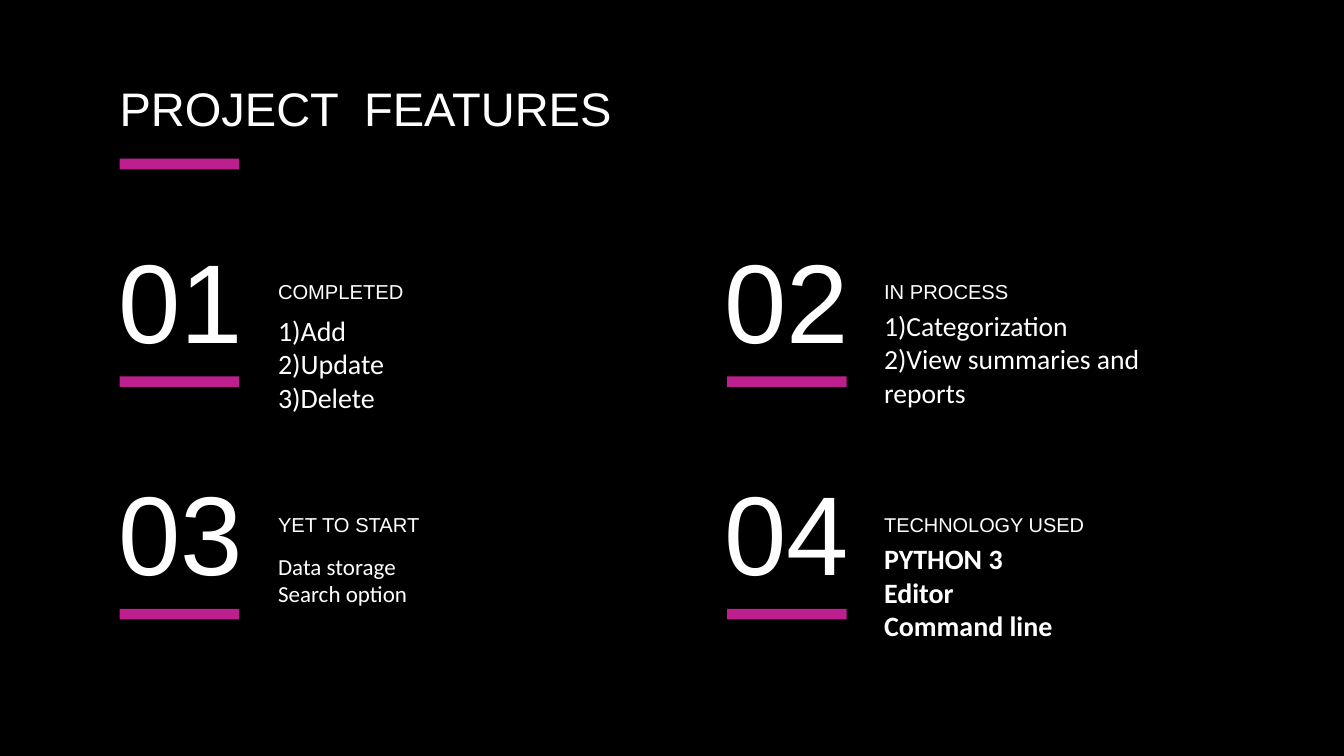
from pptx import Presentation
from pptx.dml.color import RGBColor
from pptx.enum.shapes import MSO_SHAPE
from pptx.enum.text import MSO_ANCHOR, MSO_AUTO_SIZE, PP_ALIGN
from pptx.util import Inches, Pt

WHITE = "FFFFFF"
MAGENTA = "BE1F8E"


def color(hex_value):
    return RGBColor.from_string(hex_value)


def write_lines(shape, lines, size, font, anchor=MSO_ANCHOR.BOTTOM,
                align=PP_ALIGN.LEFT, bold=False):
    """Fill a shape with one paragraph per line, all in one style."""
    frame = shape.text_frame
    frame.word_wrap = True
    frame.auto_size = MSO_AUTO_SIZE.NONE
    frame.vertical_anchor = anchor
    frame.margin_left = frame.margin_right = Inches(0.1)
    frame.margin_top = frame.margin_bottom = Inches(0.1)
    for index, line in enumerate(lines):
        paragraph = frame.add_paragraph() if index else frame.paragraphs[0]
        paragraph.alignment = align
        run = paragraph.add_run()
        run.text = line
        run.font.size = Pt(size)
        run.font.name = font
        run.font.bold = bold
        run.font.color.rgb = color(WHITE)


presentation = Presentation()
presentation.slide_width = Inches(10)
presentation.slide_height = Inches(10) * 9 // 16
slide = presentation.slides.add_slide(presentation.slide_layouts[5])
slide.background.fill.solid()
slide.background.fill.fore_color.rgb = color("000000")

title = slide.shapes.title
title.left, title.top = Inches(0.79), Inches(0.49)
title.width, title.height = Inches(8.43), Inches(0.63)
write_lines(title, ["PROJECT  FEATURES"], 25.2, "Arial", MSO_ANCHOR.MIDDLE)

# Heading, heading size, detail lines, detail size, bold, detail top and height
features = [
    ("COMPLETED", 10.8, ["1)Add", "2)Update", "3)Delete"], 15, False, 2.15, 1.03),
    ("IN PROCESS", 10.8, ["1)Categorization", "2)View summaries and reports"],
     14.8, False, 2.22, 0.92),
    ("YET TO START", 10.8, ["Data storage", "Search option"],
     12.3, False, 3.99, 0.63),
    ("TECHNOLOGY USED", 10.7, ["PYTHON 3", "Editor", "Command line"],
     15, True, 3.56, 1.32),
]
bar_positions = [(0.89, 1.18)]

for index, feature in enumerate(features):
    heading, heading_size, details, size, bold, detail_top, detail_height = feature
    row, column = divmod(index, 2)
    left = 0.78 + 4.51 * column
    top = 1.62 + 1.73 * row
    text_left = Inches(left + 1.19)

    number_box = slide.shapes.add_textbox(
        Inches(left), Inches(top), Inches(1.13), Inches(1.2))
    write_lines(number_box, [f"{index + 1:02}"], 60, "Arial", align=PP_ALIGN.CENTER)

    detail_box = slide.shapes.add_textbox(
        text_left, Inches(detail_top), Inches(2.59), Inches(detail_height))
    write_lines(detail_box, details, size, "Calibri", bold=bold)

    heading_box = slide.shapes.add_textbox(
        text_left, Inches(top + 0.37), Inches(2.59), Inches(0.37))
    write_lines(heading_box, [heading], heading_size, "Arial")

    bar_positions.append((0.89 + 4.52 * column, top + 1.18))

for left, top in bar_positions:
    bar = slide.shapes.add_shape(
        MSO_SHAPE.RECTANGLE, Inches(left), Inches(top), Inches(0.89), Inches(0.08))
    bar.shadow.inherit = False
    bar.fill.solid()
    bar.fill.fore_color.rgb = color(MAGENTA)
    bar.line.fill.background()

presentation.save("out.pptx")
